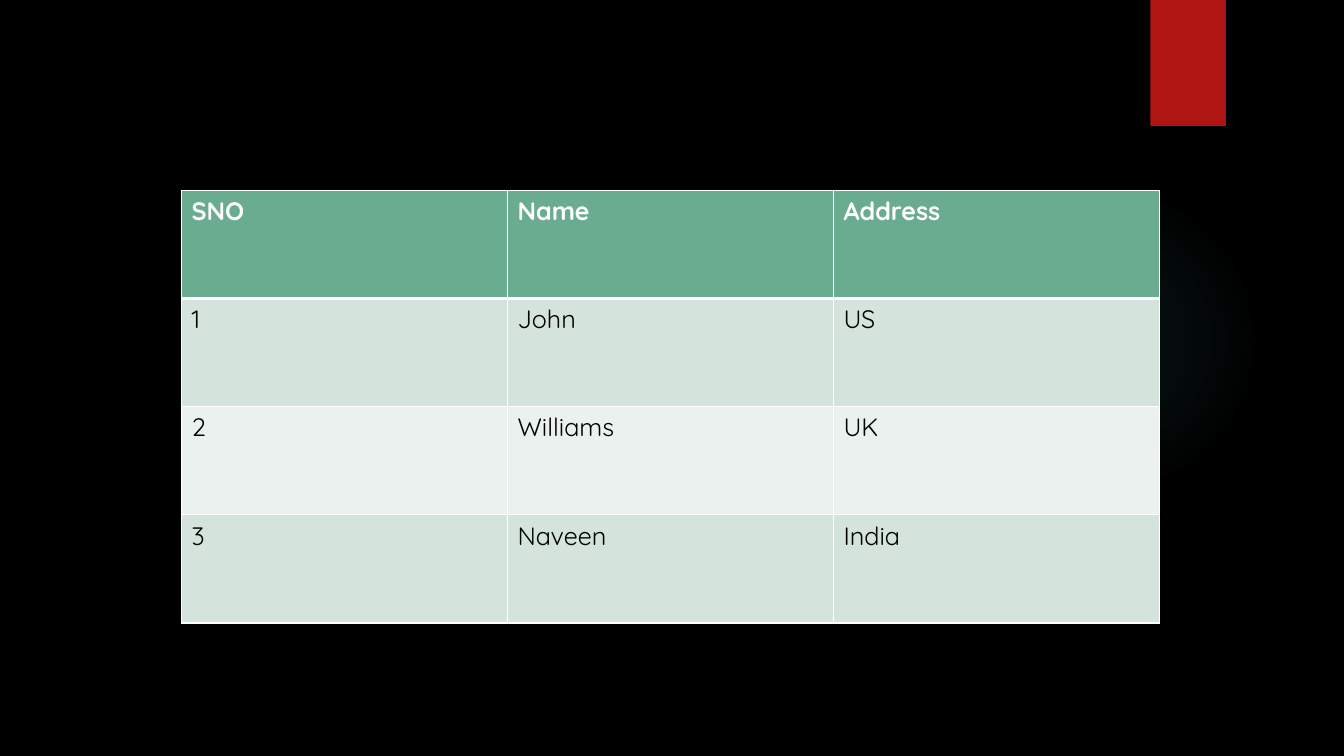
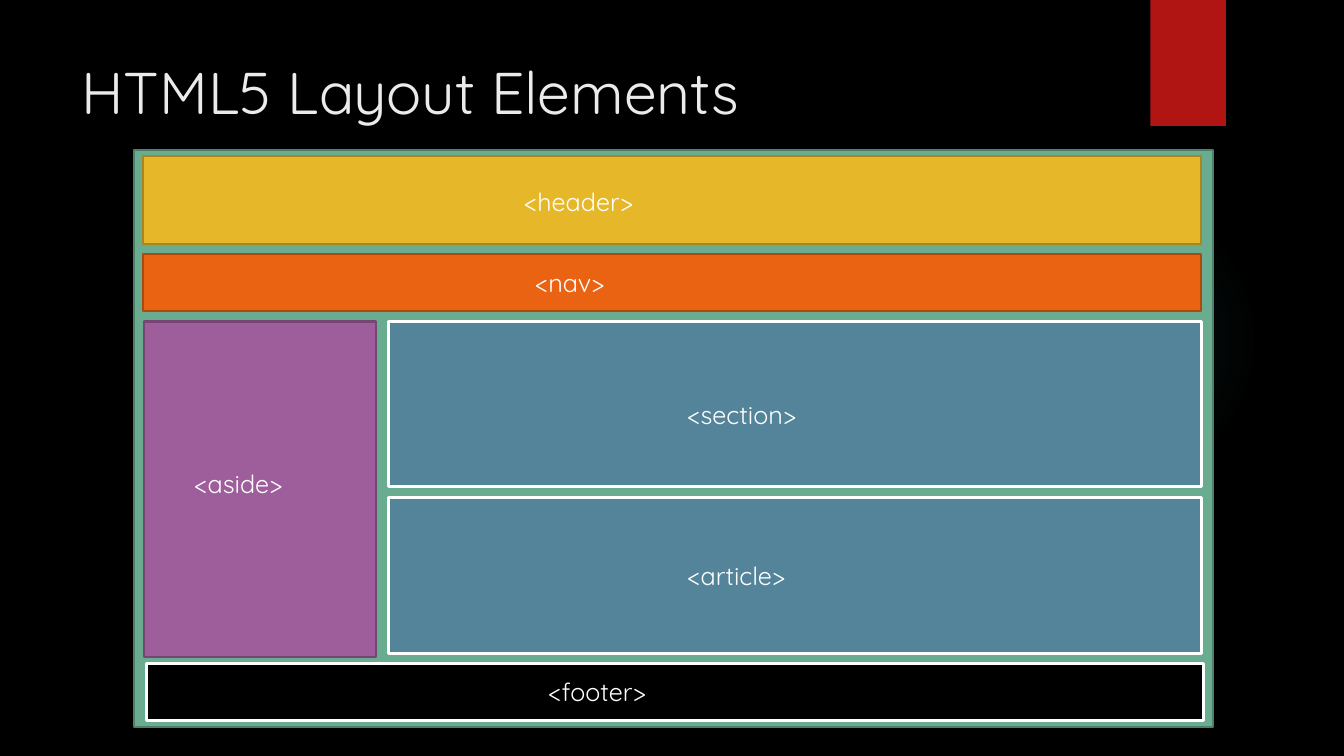
from collections import namedtuple

from pptx import Presentation
from pptx import oxml
from pptx import util as u
from pptx.dml.color import RGBColor
from pptx.enum import shapes, text
from pptx.oxml import ns

Box = namedtuple("Box", "left top width height")
Panel = namedtuple("Panel", "label box fill line line_width label_offset")

# Lengths are in inches.
PAGE = Box(0, 0, 13.33, 7.5)
TITLE_BOX = Box(0.71, 0.5, 10.29, 1.53)
GLOW_BOX = Box(9.41, 1.83, 3.08, 3.08)
RIBBON_BOX = Box(11.41, 0, 0.75, 1.25)
TABLE_BOX = Box(1.8, 1.89, 9.7, 4.29)
FRAME_BOX = Box(1.33, 1.49, 10.7, 5.72)
LABEL_SIZE = (1.51, 0.42)

FONT = "Quicksand"
TITLE_SIZE = 42
BODY_SIZE = 18
THIN, THICK = 1.5, 2.25

BLACK = RGBColor(0x00, 0x00, 0x00)
WHITE = RGBColor(0xFF, 0xFF, 0xFF)
TITLE_GREY = RGBColor(0xEB, 0xEB, 0xEB)
RED = RGBColor(0xB0, 0x15, 0x13)
CYAN = RGBColor(0x50, 0xB9, 0xC1)
GREEN = RGBColor(0x6A, 0xAC, 0x90)
DARK_GREEN = RGBColor(0x4E, 0x7F, 0x6B)
BAND_GREEN = RGBColor(0xD4, 0xE3, 0xDB)
PALE_GREEN = RGBColor(0xEB, 0xF1, 0xEE)
YELLOW = RGBColor(0xE6, 0xB7, 0x29)
DARK_YELLOW = RGBColor(0xAA, 0x87, 0x1E)
ORANGE = RGBColor(0xEA, 0x63, 0x12)
DARK_ORANGE = RGBColor(0xAD, 0x49, 0x0D)
PURPLE = RGBColor(0x9E, 0x5E, 0x9B)
DARK_PURPLE = RGBColor(0x75, 0x46, 0x73)
BLUE = RGBColor(0x54, 0x84, 0x9A)

TABLE_ROWS = [
    ("SNO", "Name", "Address"),
    ("1", "John", "US"),
    ("2", "Williams", "UK"),
    ("3", "Naveen", "India"),
]

# Panel boxes are relative to the frame, label offsets to the panel.
PANELS = [
    Panel("<header>", Box(0.09, 0.06, 10.49, 0.87), YELLOW, DARK_YELLOW, THIN, (3.68, 0.25)),
    Panel("<nav>", Box(0.09, 1.03, 10.49, 0.57), ORANGE, DARK_ORANGE, THIN, (3.79, 0.08)),
    Panel("<aside>", Box(0.1, 1.7, 2.3, 3.33), PURPLE, DARK_PURPLE, THIN, (0.4, 1.41)),
    Panel("<footer>", Box(0.12, 5.09, 10.49, 0.57), BLACK, WHITE, THICK, (3.89, 0.08)),
    Panel("<section>", Box(2.52, 1.7, 8.07, 1.64), BLUE, WHITE, THICK, (2.87, 0.72)),
    Panel("<article>", Box(2.52, 3.45, 8.07, 1.54), BLUE, WHITE, THICK, (2.87, 0.57)),
]


def inches(box):
    return [u.Inches(length) for length in box]


def inside(outer, box):
    """Turn a box relative to an outer one into a box on the slide."""
    return Box(outer.left + box.left, outer.top + box.top, box.width, box.height)


def add_run(paragraph, wording, size, color, bold=False):
    run = paragraph.add_run()
    run.text = wording
    run.font.name = FONT
    run.font.size = u.Pt(size)
    run.font.bold = bold
    run.font.color.rgb = color


def add_block(slide, box, fill, line=None, line_width=THIN, kind=shapes.MSO_SHAPE.RECTANGLE):
    shape = slide.shapes.add_shape(kind, *inches(box))
    shape.shadow.inherit = False
    shape.fill.solid()
    shape.fill.fore_color.rgb = fill
    if line is None:
        shape.line.fill.background()
    else:
        shape.line.color.rgb = line
        shape.line.width = u.Pt(line_width)
    return shape


def add_glow(slide, box):
    """Add a circle whose colour fades out towards its rim."""
    glow = add_block(slide, box, CYAN, kind=shapes.MSO_SHAPE.OVAL)
    stops = "".join(
        f'<a:gs pos="{position * 1000}"><a:srgbClr val="{CYAN}">'
        f'<a:alpha val="{alpha * 1000}"/></a:srgbClr></a:gs>'
        for position, alpha in ((0, 7), (36, 6), (69, 0))
    )
    gradient = oxml.parse_xml(
        f'<a:gradFill {ns.nsdecls("a")} rotWithShape="1"><a:gsLst>{stops}</a:gsLst>'
        '<a:path path="circle"><a:fillToRect l="50000" t="50000" r="50000" b="50000"/>'
        "</a:path></a:gradFill>"
    )
    properties = glow.element.spPr
    properties.replace(properties.find(ns.qn("a:solidFill")), gradient)


def add_slide(presentation, title=None):
    """Add a slide with the shared decoration and, if given, a title."""
    layout = presentation.slide_layouts[6 if title is None else 5]
    slide = presentation.slides.add_slide(layout)
    add_glow(slide, GLOW_BOX)
    add_block(slide, RIBBON_BOX, RED)
    if title is not None:
        place_title(slide.shapes.title, title, TITLE_BOX)
    return slide


def place_title(placeholder, wording, box):
    placeholder.left, placeholder.top, placeholder.width, placeholder.height = inches(box)
    frame = placeholder.text_frame
    frame.word_wrap = True
    frame.auto_size = text.MSO_AUTO_SIZE.NONE
    frame.vertical_anchor = text.MSO_ANCHOR.TOP
    paragraph = frame.paragraphs[0]
    paragraph.alignment = text.PP_ALIGN.LEFT
    add_run(paragraph, wording, TITLE_SIZE, TITLE_GREY)


def set_borders(cell, widths):
    """Draw white cell borders, with widths in points by side."""
    properties = cell._tc.get_or_add_tcPr()
    for index, side in enumerate("LRTB"):
        border = oxml.parse_xml(
            f'<a:ln{side} {ns.nsdecls("a")} w="{u.Pt(widths[side])}"><a:solidFill>'
            f'<a:srgbClr val="{WHITE}"/></a:solidFill></a:ln{side}>'
        )
        properties.insert(index, border)


def add_people_table(slide, box, rows):
    table = slide.shapes.add_table(len(rows), len(rows[0]), *inches(box)).table
    for row_index, row in enumerate(rows):
        is_header = row_index == 0
        fill = GREEN if is_header else (PALE_GREEN, BAND_GREEN)[row_index % 2]
        widths = {
            "L": 1,
            "R": 1,
            "T": 3 if row_index == 1 else 1,
            "B": 3 if is_header else 1,
        }
        for column_index, wording in enumerate(row):
            cell = table.cell(row_index, column_index)
            cell.fill.solid()
            cell.fill.fore_color.rgb = fill
            set_borders(cell, widths)
            add_run(cell.text_frame.paragraphs[0], wording, BODY_SIZE,
                    WHITE if is_header else BLACK, bold=is_header)


def add_label(slide, box, wording):
    frame = slide.shapes.add_textbox(*inches(box)).text_frame
    frame.word_wrap = True
    frame.auto_size = text.MSO_AUTO_SIZE.SHAPE_TO_FIT_TEXT
    add_run(frame.paragraphs[0], wording, BODY_SIZE, WHITE)


def add_page_diagram(slide, box, panels):
    add_block(slide, box, GREEN, DARK_GREEN)
    for panel in panels:
        panel_box = inside(box, panel.box)
        add_block(slide, panel_box, panel.fill, panel.line, panel.line_width)
        add_label(slide, inside(panel_box, Box(*panel.label_offset, *LABEL_SIZE)), panel.label)


def main():
    presentation = Presentation()
    presentation.slide_width = u.Inches(PAGE.width)
    presentation.slide_height = u.Inches(PAGE.height)
    background = presentation.slide_master.background.fill
    background.solid()
    background.fore_color.rgb = BLACK

    add_people_table(add_slide(presentation), TABLE_BOX, TABLE_ROWS)
    add_page_diagram(add_slide(presentation, "HTML5 Layout Elements"), FRAME_BOX, PANELS)
    presentation.save("out.pptx")


if __name__ == "__main__":
    main()
